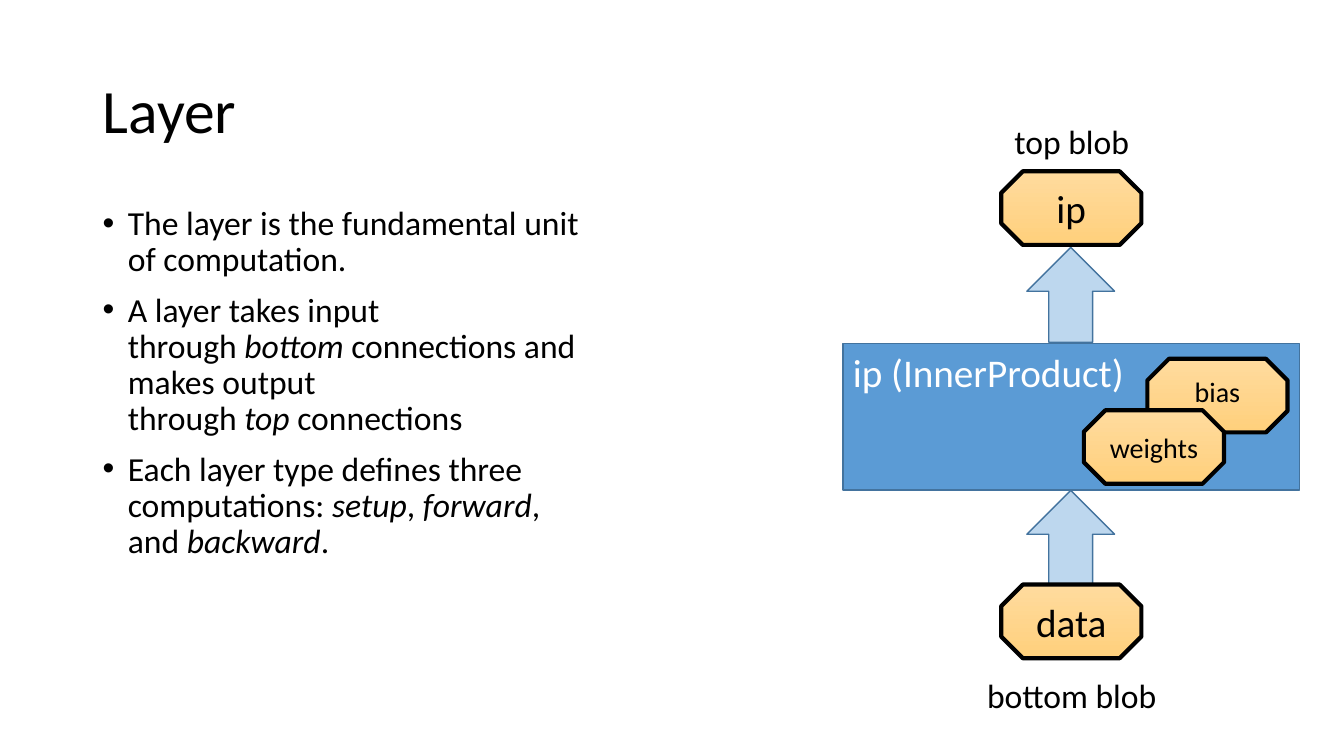
"""Build the slide that explains a network layer and its blobs."""
from lxml import etree
from pptx import Presentation
from pptx.dml.color import RGBColor
from pptx.enum.shapes import MSO_SHAPE
from pptx.enum.text import MSO_ANCHOR, PP_ALIGN
from pptx.oxml.ns import qn
from pptx.util import Inches, Pt

RECT, OCTAGON, ARROW = MSO_SHAPE.RECTANGLE, MSO_SHAPE.OCTAGON, MSO_SHAPE.RIGHT_ARROW
TOP, MIDDLE = MSO_ANCHOR.TOP, MSO_ANCHOR.MIDDLE
LEFT, CENTER = PP_ALIGN.LEFT, PP_ALIGN.CENTER
BLACK, WHITE, BLUE, DARK_BLUE = "000000", "FFFFFF", "5B9BD5", "43739E"
HARD_SPACE = chr(160)


def rgb(color):
    return RGBColor.from_string(color)


def write(sp, text, size, color=BLACK, align=CENTER, anchor=MIDDLE):
    tf = sp.text_frame
    tf.word_wrap = True
    tf.vertical_anchor = anchor
    p = tf.paragraphs[0]
    p.text = text
    p.alignment = align
    font = p.runs[0].font
    font.name, font.size, font.color.rgb = "Calibri", Pt(size), rgb(color)


prs = Presentation()
prs.slide_width, prs.slide_height = Inches(13.33), Inches(7.5)
s = prs.slides.add_slide(prs.slide_layouts[5])

title = s.shapes.title
title.left, title.top = Inches(0.92), Inches(0.4)
title.width, title.height = Inches(11.5), Inches(1.45)
write(title, "Layer", 44, align=LEFT)
title.text_frame.paragraphs[0].line_spacing = 0.9

bullets = [
    "The layer is the fundamental unit of computation.",
    "A layer takes input through~*bottom*~connections and makes output through~*top~*connections",
    "Each layer type defines three computations:~*setup*,~*forward*, and~*backward*.",
]
body = s.shapes.add_textbox(Inches(0.92), Inches(2), Inches(5.23), Inches(4.76))
tf = body.text_frame
tf.word_wrap = True
for i, bullet in enumerate(bullets):
    p = tf.add_paragraph() if i else tf.paragraphs[0]
    p.line_spacing, p.space_before = 0.9, Pt(10)
    pPr = p._p.get_or_add_pPr()
    pPr.set("marL", str(Inches(0.25)))
    pPr.set("indent", str(-Inches(0.25)))
    etree.SubElement(pPr, qn("a:buFont"), typeface="Arial")
    etree.SubElement(pPr, qn("a:buChar"), char="•")
    for j, part in enumerate(bullet.replace("~", HARD_SPACE).split("*")):
        r = p.add_run()
        r.text = part
        r.font.name, r.font.size, r.font.color.rgb = "Calibri", Pt(24), rgb(BLACK)
        r.font.italic = j % 2 == 1

layer = s.shapes.add_shape(RECT, Inches(8.36), Inches(3.41), Inches(4.53), Inches(1.45))
arrows = [
    s.shapes.add_shape(ARROW, Inches(10.15), Inches(y), Inches(0.94), Inches(0.87))
    for y in (4.9, 2.49)
]
for sp in [layer] + arrows:
    sp.shadow.inherit = False
    sp.fill.solid()
    sp.fill.fore_color.rgb = rgb(BLUE)
    sp.line.color.rgb = rgb(DARK_BLUE)
    sp.line.width = Pt(1)
write(layer, "ip (InnerProduct)", 28, WHITE, LEFT, TOP)
for sp in arrows:
    sp.rotation = 270
    color = sp._element.spPr.find(qn("a:solidFill")).find(qn("a:srgbClr"))
    etree.SubElement(color, qn("a:alpha"), val="40000")

blobs = [
    ("data", 9.93, 5.8, 28, MIDDLE),
    ("bias", 11.38, 3.56, 20, TOP),
    ("weights", 10.75, 4.07, 20, MIDDLE),
    ("ip", 9.93, 1.7, 28, MIDDLE),
]
for text, x, y, size, anchor in blobs:
    sp = s.shapes.add_shape(OCTAGON, Inches(x), Inches(y), Inches(1.39), Inches(0.73))
    sp.shadow.inherit = False
    sp.fill.gradient()
    sp.fill.gradient_angle = 270
    for stop, color in zip(sp.fill.gradient_stops, ("FFDB9E", "FFD07C")):
        stop.color.rgb = rgb(color)
    sp.line.color.rgb = rgb(BLACK)
    sp.line.width = Pt(3)
    write(sp, text, size, anchor=anchor)

for text, y in (("bottom blob", 6.65), ("top blob", 1.15)):
    sp = s.shapes.add_textbox(Inches(9.38), Inches(y), Inches(2.5), Inches(0.5))
    write(sp, text, 24, anchor=TOP)

prs.save("out.pptx")
